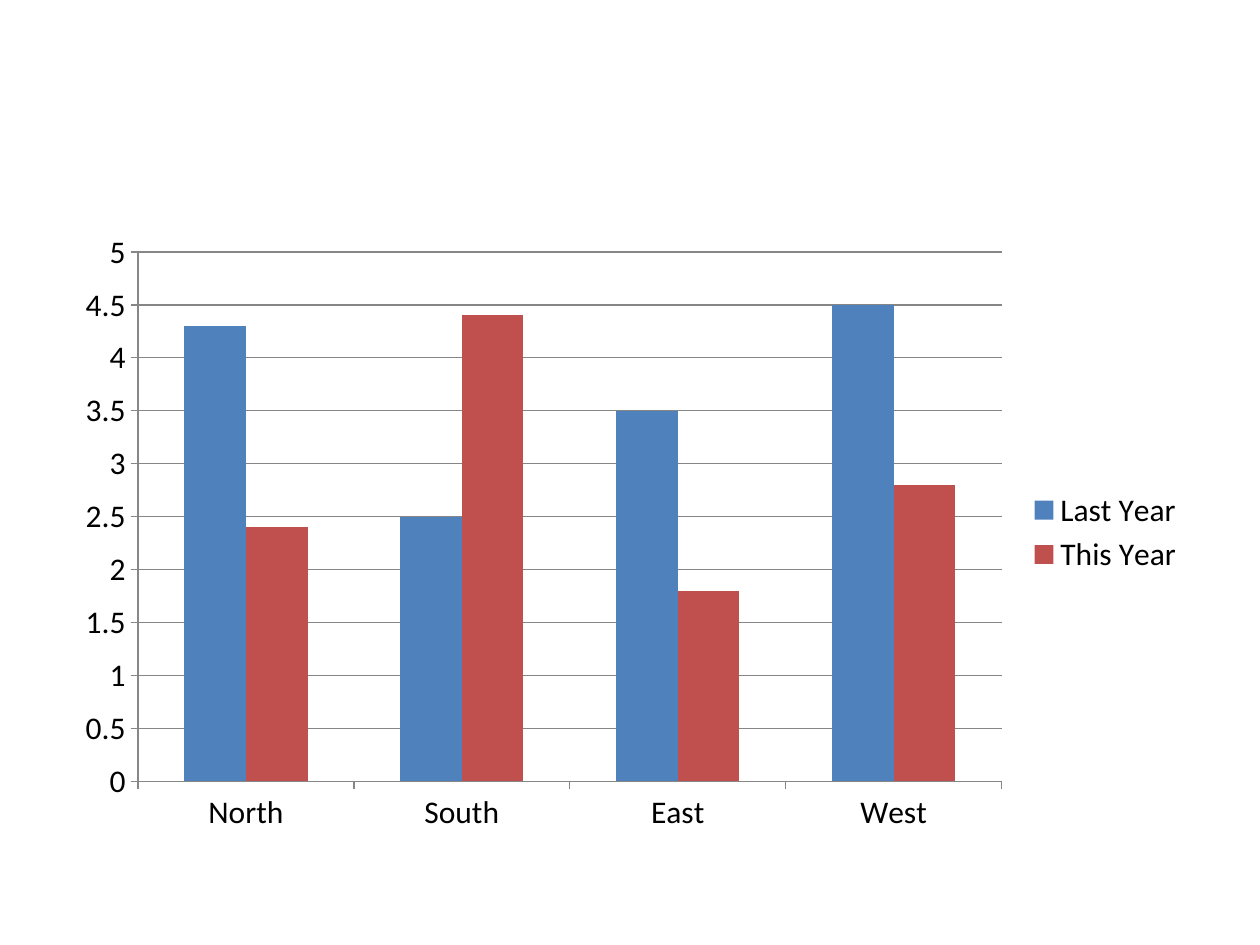
import pptx
import pptx.chart.data
import pptx.dml.color
import pptx.enum.chart
import pptx.util

SLIDE_WIDTH = pptx.util.Inches(10)
SLIDE_HEIGHT = pptx.util.Inches(7.5)
BLANK_LAYOUT = 6
LINE_GREY = "868686"

REGIONS = ["North", "South", "East", "West"]
SALES = [
    ("Last Year", [4.3, 2.5, 3.5, 4.5], "4F81BD"),
    ("This Year", [2.4, 4.4, 1.8, 2.8], "C0504D"),
]


def color(value):
    return pptx.dml.color.RGBColor.from_string(value)


def set_all(target, values):
    for name, value in values.items():
        setattr(target, name, value)


def style_line(line):
    line.color.rgb = color(LINE_GREY)
    line.width = pptx.util.Pt(0.75)


def style_axis(axis, gridlines):
    set_all(axis, {
        "has_major_gridlines": gridlines,
        "major_tick_mark": pptx.enum.chart.XL_TICK_MARK.OUTSIDE,
        "minor_tick_mark": pptx.enum.chart.XL_TICK_MARK.NONE,
    })
    style_line(axis.format.line)
    if gridlines:
        style_line(axis.major_gridlines.format.line)


def add_column_chart(page, left, top, width, height):
    """Add the regional chart; lengths are shares of the slide's size."""
    data = pptx.chart.data.CategoryChartData()
    data.categories = REGIONS
    for name, values, _ in SALES:
        data.add_series(name, values)
    chart = page.shapes.add_chart(
        pptx.enum.chart.XL_CHART_TYPE.COLUMN_CLUSTERED,
        round(left * SLIDE_WIDTH), round(top * SLIDE_HEIGHT),
        round(width * SLIDE_WIDTH), round(height * SLIDE_HEIGHT), data,
    ).chart

    set_all(chart, {"has_title": False, "has_legend": True})
    set_all(chart.font, {"name": "Calibri", "size": pptx.util.Pt(18)})
    chart.font.color.rgb = color("000000")
    set_all(chart.legend, {
        "position": pptx.enum.chart.XL_LEGEND_POSITION.RIGHT,
        "include_in_layout": False,
    })

    style_axis(chart.category_axis, gridlines=False)
    style_axis(chart.value_axis, gridlines=True)
    set_all(chart.value_axis, {
        "minimum_scale": 0, "maximum_scale": 5, "major_unit": 0.5,
    })

    plot = chart.plots[0]
    set_all(plot, {"gap_width": 150, "overlap": 0, "vary_by_categories": False})
    for series, (_, _, fill) in zip(plot.series, SALES):
        series.format.fill.solid()
        series.format.fill.fore_color.rgb = color(fill)


def main():
    deck = pptx.Presentation()
    set_all(deck, {"slide_width": SLIDE_WIDTH, "slide_height": SLIDE_HEIGHT})
    page = deck.slides.add_slide(deck.slide_layouts[BLANK_LAYOUT])
    add_column_chart(page, left=0.05, top=1.75 / 7.5, width=0.9, height=0.66)
    deck.save("out.pptx")


if __name__ == "__main__":
    main()
